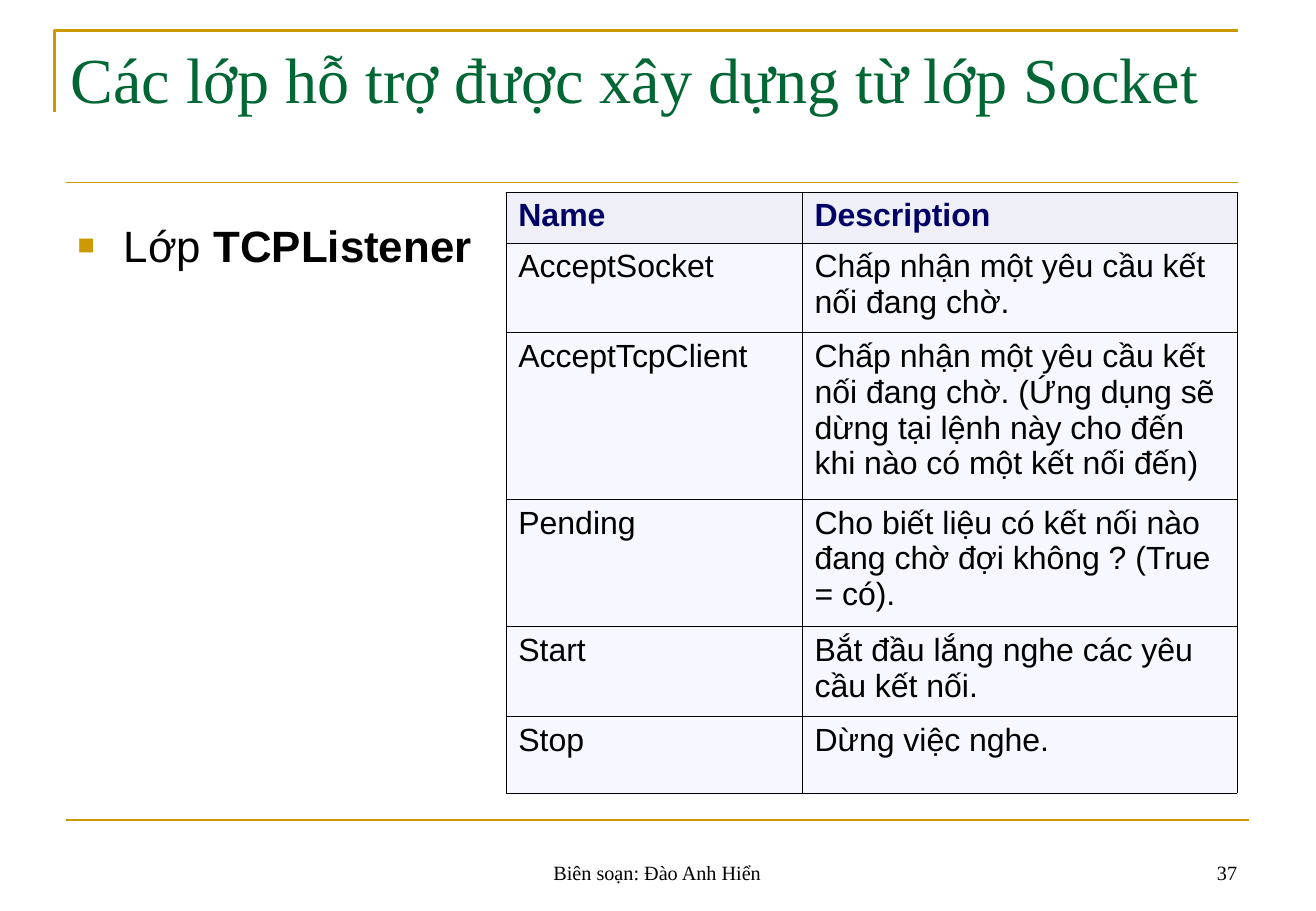
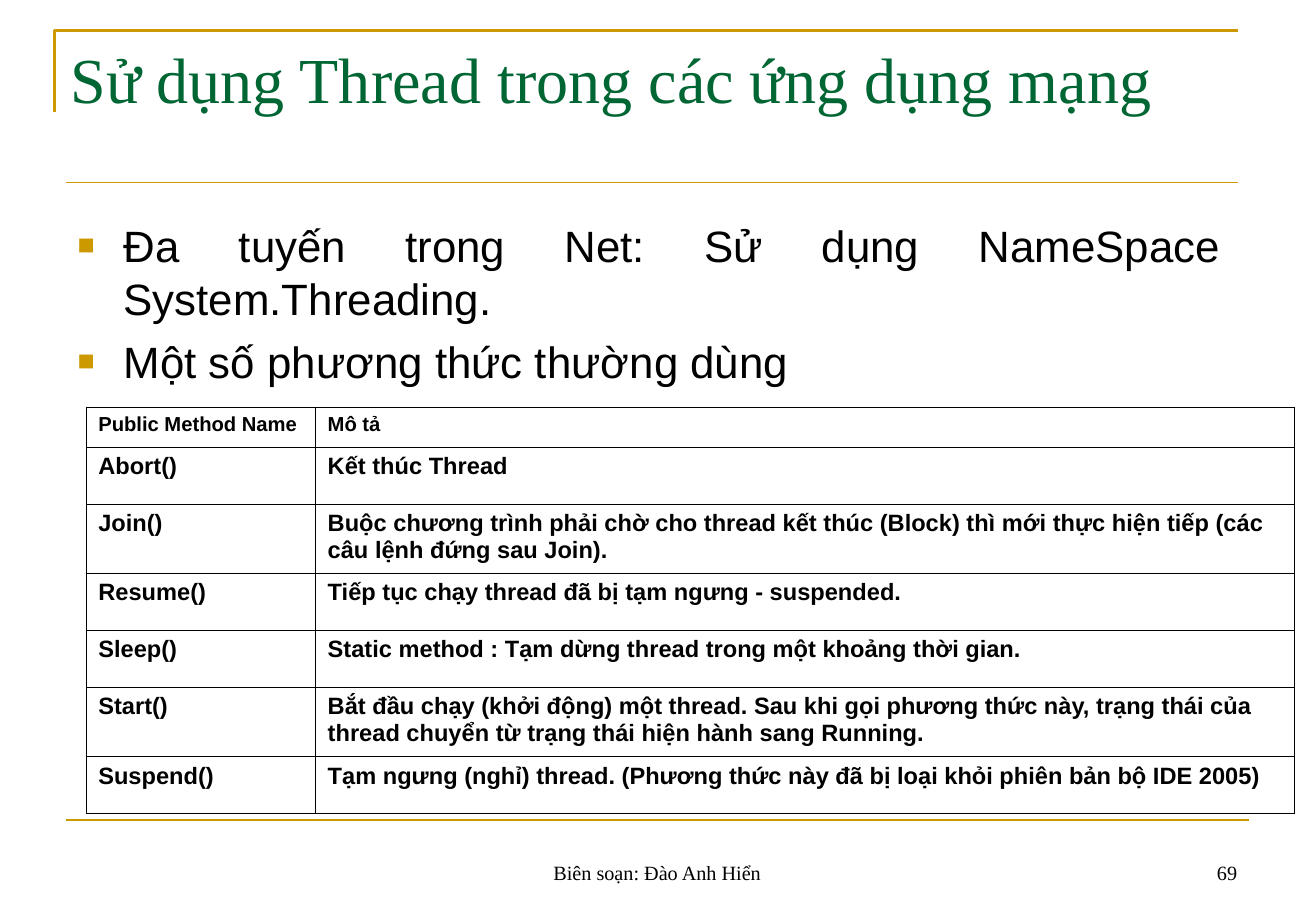
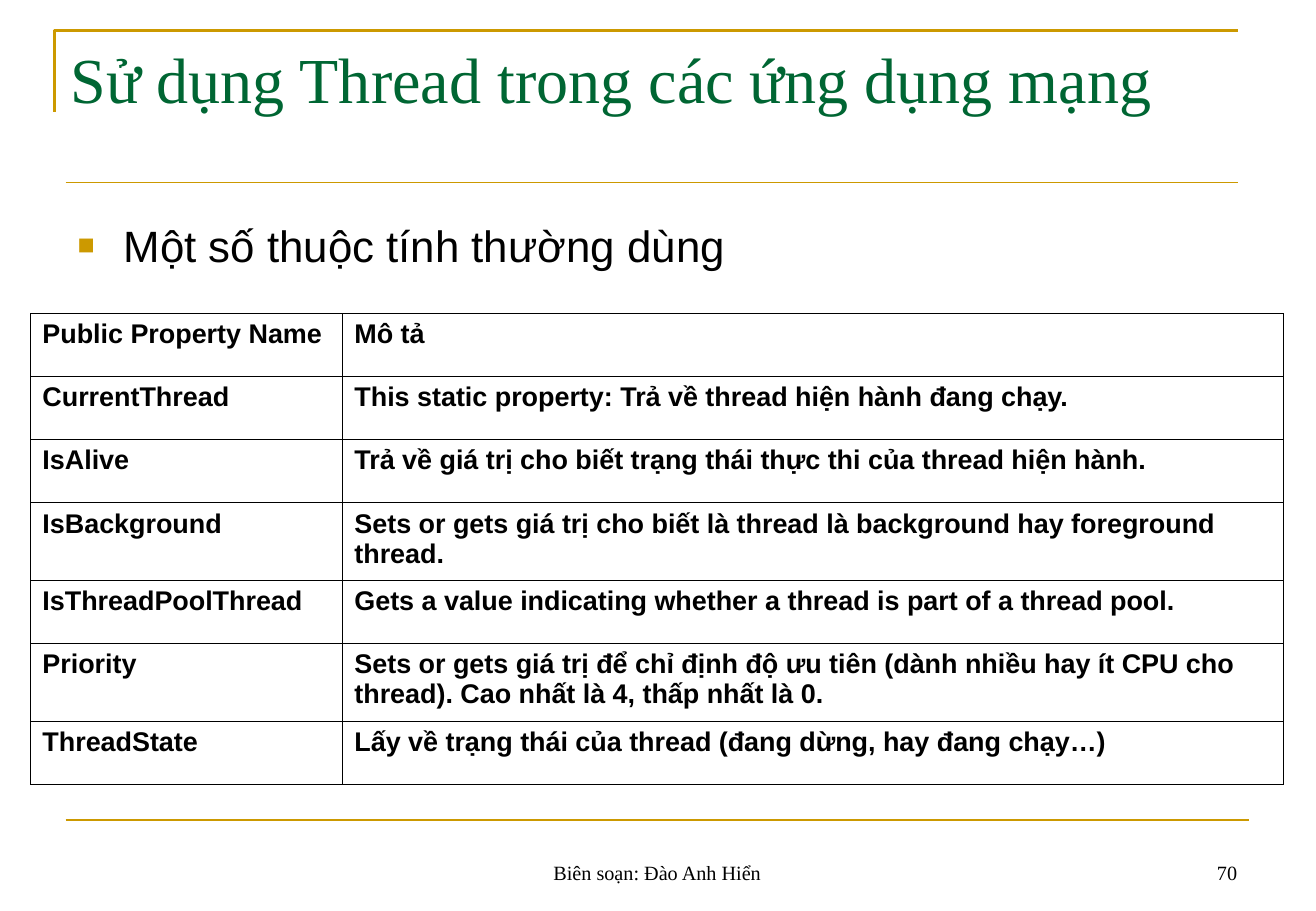
from lxml.etree import SubElement
from pptx import Presentation
from pptx.dml.color import RGBColor
from pptx.enum.shapes import MSO_CONNECTOR
from pptx.enum.text import MSO_ANCHOR as Anchor, MSO_AUTO_SIZE as AutoSize, PP_ALIGN as Align
from pptx.oxml import parse_xml
from pptx.oxml.ns import nsdecls, qn
from pptx.util import Inches, Pt


def color(hex_code):
    return RGBColor.from_string(hex_code)


class Deck:
    SERIF, SANS = "Times New Roman", "Arial"
    GOLD, GREEN, NAVY, BLACK = "CC9900", "006633", "000066", "000000"
    HEAD_FILL, BODY_FILL = "EFEFF7", "F7F7FF"
    AUTHOR = "Biên soạn: Đào Anh Hiển"

    def __init__(self):
        self.prs = Presentation()
        self.prs.slide_width, self.prs.slide_height = Inches(10.84), Inches(7.5)
        self.slide = None

    def new_slide(self, title, number):
        self.slide = self.prs.slides.add_slide(self.prs.slide_layouts[5])
        self.corner()
        self.rule(6.75, 10.29, 1.5)
        self.rule(1.5, 10.2, 0.75)
        self.title(title)
        self.footer(self.AUTHOR, 3.7, 3.43, Align.CENTER)
        self.footer(number, 7.76, 2.53, Align.RIGHT)

    def run(self, paragraph, text, size, font, hex_code=BLACK, bold=False):
        run = paragraph.add_run()
        run.text = text
        run.font.size, run.font.name, run.font.bold = Pt(size), font, bold
        run.font.color.rgb = color(hex_code)

    def frame(self, shape, anchor):
        frame = shape.text_frame
        frame.word_wrap, frame.auto_size = True, AutoSize.NONE
        frame.vertical_anchor = anchor
        return frame

    def text_box(self, left, top, width, height, anchor=Anchor.TOP):
        box = self.slide.shapes.add_textbox(
            Inches(left), Inches(top), Inches(width), Inches(height))
        return self.frame(box, anchor)

    def corner(self):
        """Draw the angled line around the top left of the title."""
        builder = self.slide.shapes.build_freeform(Inches(0.45), Inches(0.92))
        builder.add_line_segments(
            [(Inches(0.45), Inches(0.25)), (Inches(10.2), Inches(0.25))], close=False)
        outline = builder.convert_to_shape()
        outline.shadow.inherit = False
        outline.fill.background()
        outline.line.color.rgb = color(self.GOLD)
        outline.line.width = Pt(1.5)

    def rule(self, top, right, weight):
        line = self.slide.shapes.add_connector(
            MSO_CONNECTOR.STRAIGHT, Inches(0.54), Inches(top), Inches(right), Inches(top))
        line.line.color.rgb = color(self.GOLD)
        line.line.width = Pt(weight)
        SubElement(line._element.spPr, qn("a:effectLst"))

    def title(self, text):
        holder = self.slide.shapes.title
        holder.left, holder.top = Inches(0.48), Inches(0.27)
        holder.width, holder.height = Inches(9.75), Inches(1.25)
        paragraph = self.frame(holder, Anchor.TOP).paragraphs[0]
        paragraph.alignment = Align.LEFT
        self.run(paragraph, text, 38, self.SERIF, self.GREEN)

    def footer(self, text, left, width, align):
        paragraph = self.text_box(left, 6.83, width, 0.5, Anchor.BOTTOM).paragraphs[0]
        paragraph.alignment = align
        self.run(paragraph, text, 12, self.SERIF)

    def bullets(self, *items):
        """Each item is a list of (text, bold) runs."""
        frame = self.text_box(0.54, 1.75, 9.62, 4.95)
        for index, item in enumerate(items):
            paragraph = frame.add_paragraph() if index else frame.paragraphs[0]
            props = paragraph._p.get_or_add_pPr()
            props.set("marL", str(Inches(0.38)))
            props.set("indent", str(-Inches(0.38)))
            tint = SubElement(props, qn("a:buClr"))
            SubElement(tint, qn("a:srgbClr"), val=self.GOLD)
            SubElement(props, qn("a:buSzPct"), val="65000")
            SubElement(props, qn("a:buFont"), typeface=self.SANS)
            SubElement(props, qn("a:buChar"), char="■")
            paragraph.alignment = Align.JUSTIFY
            if index:
                paragraph.space_before = Pt(6.5)
            for text, bold in item:
                self.run(paragraph, text, 26, self.SANS, bold=bold)

    def borders(self, cell, weight):
        props = cell._tc.get_or_add_tcPr()
        for place, side in enumerate(("lnL", "lnR", "lnT", "lnB")):
            props.insert(place, parse_xml(
                f'<a:{side} {nsdecls("a")} w="{Pt(weight)}"><a:solidFill>'
                f'<a:srgbClr val="{self.BLACK}"/></a:solidFill></a:{side}>'))

    def table(self, left, top, widths, heights, rows, size, head_size=None,
              tinted=False, weight=0.34):
        """A tinted table has a navy heading and regular text; a plain one is all bold."""
        grid = self.slide.shapes.add_table(
            len(rows), len(widths), Inches(left), Inches(top),
            Inches(sum(widths)), Inches(sum(heights))).table
        grid.first_row = grid.horz_banding = False
        for column, width in zip(grid.columns, widths):
            column.width = Inches(width)
        for index, (row, height, texts) in enumerate(zip(grid.rows, heights, rows)):
            row.height = Inches(height)
            head = index == 0
            for cell, text in zip(row.cells, texts):
                if tinted:
                    cell.fill.solid()
                    cell.fill.fore_color.rgb = color(self.HEAD_FILL if head else self.BODY_FILL)
                else:
                    cell.fill.background()
                self.borders(cell, weight)
                self.run(cell.text_frame.paragraphs[0], text,
                         head_size if head and head_size else size, self.SANS,
                         self.NAVY if head and tinted else self.BLACK,
                         bold=head or not tinted)


THREAD_TITLE = "Sử dụng Thread trong các ứng dụng mạng"

LISTENER_METHODS = [
    ("Name", "Description"),
    ("AcceptSocket", "Chấp nhận một yêu cầu kết nối đang chờ."),
    ("AcceptTcpClient", "Chấp nhận một yêu cầu kết nối đang chờ. (Ứng dụng sẽ dừng tại "
                        "lệnh này cho đến khi nào có một kết nối đến)"),
    ("Pending", "Cho biết liệu có kết nối nào đang chờ đợi không ? (True = có)."),
    ("Start", "Bắt đầu lắng nghe các yêu cầu kết nối."),
    ("Stop", "Dừng việc nghe."),
]

THREAD_METHODS = [
    ("Public Method Name", "Mô tả"),
    ("Abort()", "Kết thúc Thread"),
    ("Join()", "Buộc chương trình phải chờ cho thread kết thúc (Block) thì mới thực hiện "
               "tiếp (các câu lệnh đứng sau Join)."),
    ("Resume()", "Tiếp tục chạy thread đã bị tạm ngưng - suspended."),
    ("Sleep()", "Static method : Tạm dừng thread trong một khoảng thời gian."),
    ("Start()", "Bắt đầu chạy (khởi động) một thread. Sau khi gọi phương thức này, trạng "
                "thái của thread chuyển từ trạng thái hiện hành sang Running."),
    ("Suspend()", "Tạm ngưng (nghỉ) thread. (Phương thức này đã bị loại khỏi phiên bản "
                  "bộ IDE 2005)"),
]

THREAD_PROPERTIES = [
    ("Public Property Name", "Mô tả"),
    ("CurrentThread", "This static property: Trả về thread hiện hành đang chạy."),
    ("IsAlive", "Trả về giá trị cho biết trạng thái thực thi của thread hiện hành."),
    ("IsBackground", "Sets or gets giá trị cho biết là thread là background hay foreground "
                     "thread."),
    ("IsThreadPoolThread", "Gets a value indicating whether a thread is part of a thread pool."),
    ("Priority", "Sets or gets giá trị để chỉ định độ ưu tiên (dành nhiều hay ít CPU cho "
                 "thread). Cao nhất là 4, thấp nhất là 0."),
    ("ThreadState", "Lấy về trạng thái của thread (đang dừng, hay đang chạy…)"),
]


def main():
    deck = Deck()

    deck.new_slide("Các lớp hỗ trợ được xây dựng từ lớp Socket", "37")
    deck.bullets([("Lớp ", False), ("TCPListener", True)])
    deck.table(4.17, 1.58, (2.44, 3.58), (0.42, 0.74, 1.37, 1.05, 0.74, 0.63),
               LISTENER_METHODS, 19, tinted=True, weight=0.45)

    deck.new_slide(THREAD_TITLE, "69")
    deck.bullets([("Đa tuyến trong Net: Sử dụng NameSpace System.Threading.", False)],
                 [("Một số phương thức thường dùng", False)])
    deck.table(0.71, 3.35, (1.89, 8.06), (0.33, 0.47, 0.57, 0.47, 0.47, 0.57, 0.47),
               THREAD_METHODS, 14, head_size=12)

    deck.new_slide(THREAD_TITLE, "70")
    deck.bullets([("Một số thuộc tính thường dùng", False)])
    deck.table(0.25, 2.58, (2.57, 7.75), (0.52, 0.52, 0.52, 0.64, 0.52, 0.64, 0.52),
               THREAD_PROPERTIES, 16)

    deck.prs.save("out.pptx")


if __name__ == "__main__":
    main()
